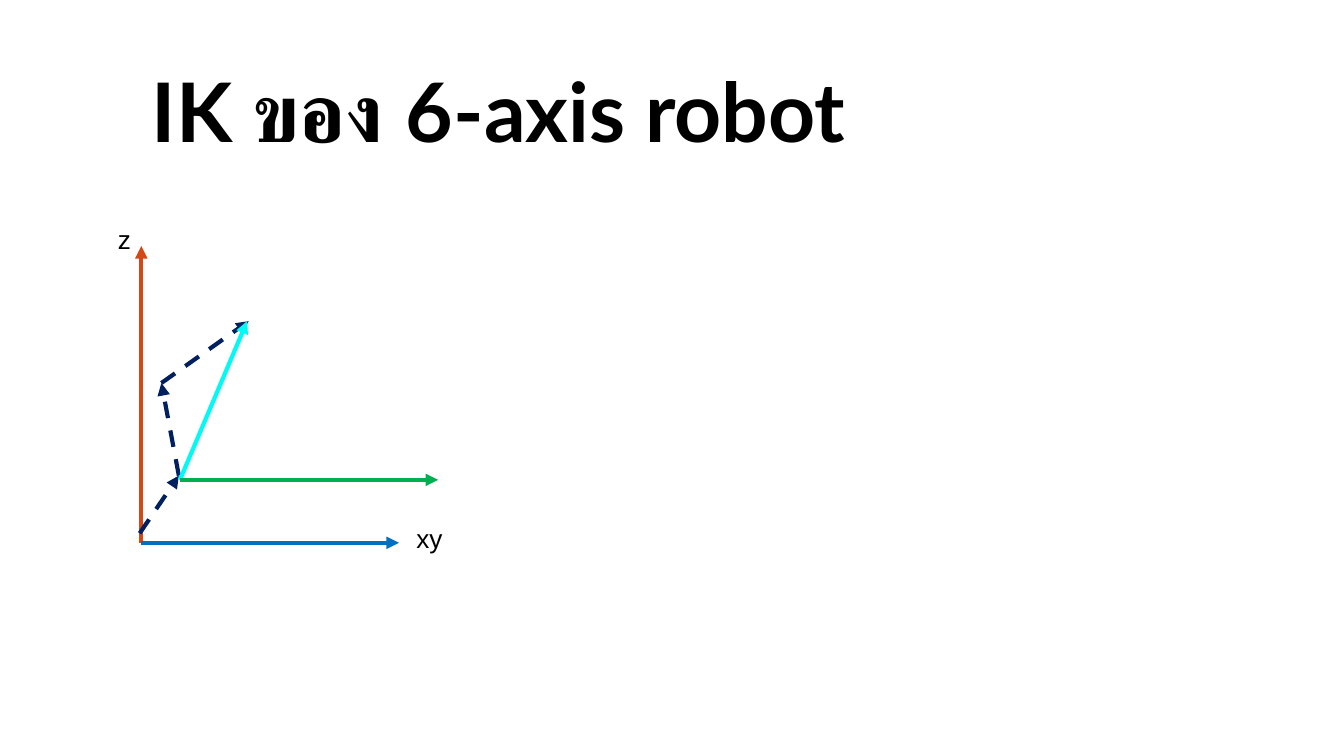
from lxml.etree import SubElement
from pptx import Presentation
from pptx.dml.color import RGBColor
from pptx.enum.dml import MSO_LINE_DASH_STYLE as Dash
from pptx.enum.shapes import MSO_CONNECTOR as Connector
from pptx.enum.text import MSO_ANCHOR as Anchor
from pptx.oxml.ns import qn
from pptx.util import Cm, Pt

COLORS = {
    "text": "000000",
    "z_axis": "D34817",
    "xy_axis": "0070C0",
    "link": "002060",
    "reach": "00FAF4",
    "shoulder_axis": "00B050",
}

deck = Presentation()
deck.slide_width, deck.slide_height = Cm(25.4), Cm(14.29)
slide = deck.slides.add_slide(deck.slide_layouts[6])


def add_label(text, left, top, width, height, font, size, bold=False):
    box = slide.shapes.add_textbox(Cm(left), Cm(top), Cm(width), Cm(height))
    box.text_frame.word_wrap = True
    run = box.text_frame.paragraphs[0].add_run()
    run.text = text
    run.font.name, run.font.size, run.font.bold = font, Pt(size), bold
    run.font.color.rgb = RGBColor.from_string(COLORS["text"])
    return box.text_frame


def add_vector(start, end, color, dashed=False):
    """Draw an arrow whose triangle head sits at end."""
    vector = slide.shapes.add_connector(
        Connector.STRAIGHT, *(Cm(value) for value in (*start, *end)))
    vector.line.color.rgb = RGBColor.from_string(COLORS[color])
    vector.line.width = Pt(2.25)
    if dashed:
        vector.line.dash_style = Dash.DASH
    properties = vector._element.spPr
    SubElement(properties.find(qn("a:ln")), qn("a:tailEnd"), type="triangle")
    SubElement(properties, qn("a:effectLst"))


title = add_label("IK ของ 6-axis robot", 2.62, 1.04, 19.53, 2.29, "Lato", 44, True)
title.vertical_anchor = Anchor.MIDDLE
title.paragraphs[0].line_spacing = 0.9

# Base frame
origin = (2.67, 10.26)
add_vector(origin, (2.67, 4.65), "z_axis")
add_vector(origin, (7.54, 10.26), "xy_axis")

# Robot links, from base to wrist
joints = [(2.64, 10.08), (3.38, 8.99), (3.05, 7.24), (4.7, 6.07)]
for joint, next_joint in zip(joints, joints[1:]):
    add_vector(joint, next_joint, "link", dashed=True)

for axis, left, top in [("xy", 7.62, 9.75), ("z", 1.98, 4.09)]:
    add_label(axis, left, top, 1.8, 1.09, "Arial", 14)

# Shoulder to wrist, and the horizontal through the shoulder
shoulder = (3.4, 9.07)
add_vector(shoulder, (4.67, 6.07), "reach")
add_vector(shoulder, (8.28, 9.07), "shoulder_axis")

deck.save("out.pptx")
